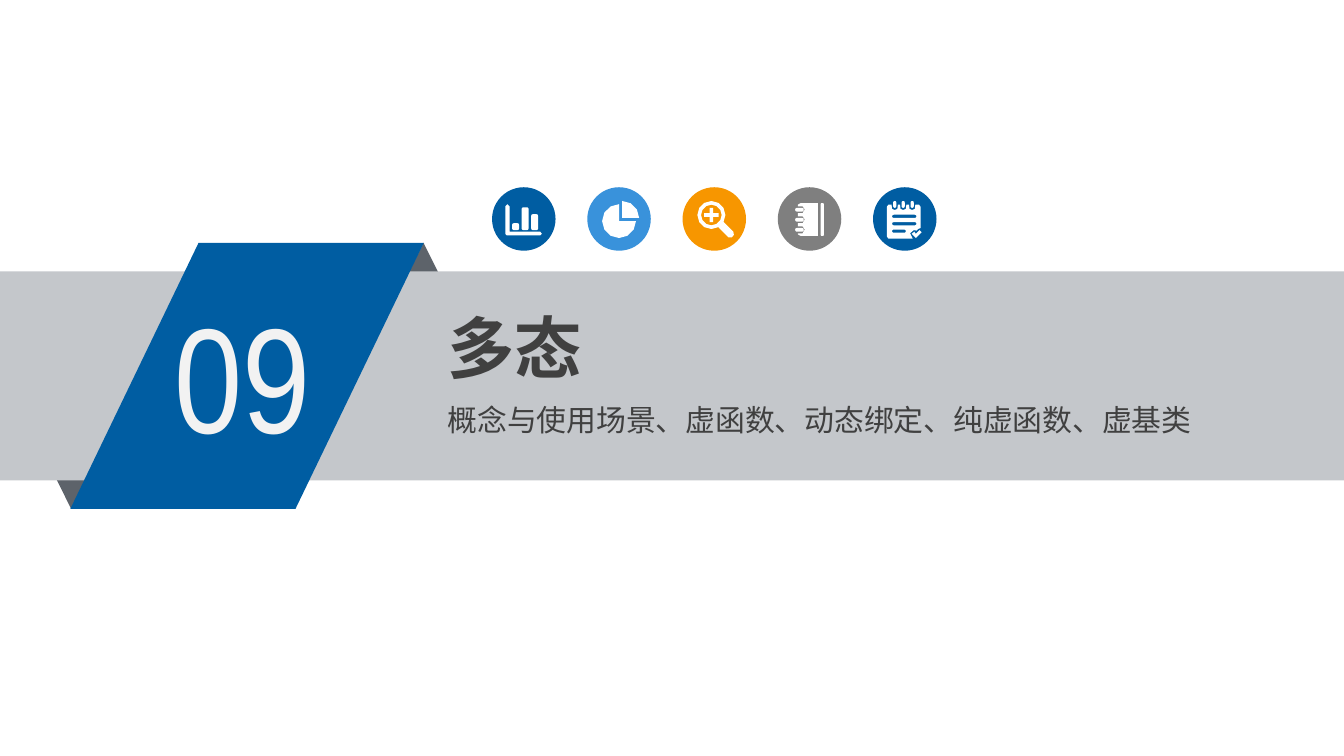
from math import cos, radians, sin

from pptx import Presentation
from pptx.dml.color import RGBColor
from pptx.enum.shapes import MSO_SHAPE
from pptx.enum.text import MSO_ANCHOR, MSO_AUTO_SIZE, PP_ALIGN
from pptx.oxml.ns import qn
from pptx.util import Cm, Pt

RECT, OVAL = MSO_SHAPE.RECTANGLE, MSO_SHAPE.OVAL
TRIANGLE, PARALLELOGRAM = MSO_SHAPE.ISOSCELES_TRIANGLE, MSO_SHAPE.PARALLELOGRAM
TOP, LEFT, FIXED = MSO_ANCHOR.TOP, PP_ALIGN.LEFT, MSO_AUTO_SIZE.NONE
BLUE, SKY, ORANGE, GREY = "005DA2", "3992DB", "F79600", "7F7F7F"
WHITE, FOLD, BAND, DARK, PALE = "FFFFFF", "5D636A", "C4C7CB", "404040", "F2F2F2"
CJK = "Noto Sans CJK SC"

prs = Presentation()
prs.slide_width, prs.slide_height = Cm(25.4), Cm(14.29)
s = prs.slides.add_slide(prs.slide_layouts[5])


def paint(sp, color):
    sp.shadow.inherit = False
    sp.fill.solid()
    sp.fill.fore_color.rgb = RGBColor.from_string(color)
    sp.line.fill.background()
    return sp


def rounded(x, y, w, h, radius):
    corners = [(x + radius, y + radius, 180), (x + w - radius, y + radius, 270),
               (x + w - radius, y + h - radius, 0), (x + radius, y + h - radius, 90)]
    return [(cx + radius * cos(radians(start + turn)), cy + radius * sin(radians(start + turn)))
            for cx, cy, start in corners for turn in (0, 30, 60, 90)]


for kind, x, y, w, h, color, turn in [
        (TRIANGLE, 6.86, 4.59, 2.29, 2.31, FOLD, 0),
        (TRIANGLE, 0.2, 7.31, 2.29, 2.31, FOLD, 180),
        (RECT, 0, 5.13, 25.4, 3.95, BAND, 0),
        (PARALLELOGRAM, 1.33, 4.59, 6.68, 5.03, BLUE, 0)]:
    sp = paint(s.shapes.add_shape(kind, Cm(x), Cm(y), Cm(w), Cm(h)), color)
    sp.rotation = turn
    if kind == PARALLELOGRAM:
        sp.adjustments[0] = 0.482

number = s.shapes.add_textbox(0, 0, 0, 0)
title = s.shapes.title
title.element.getparent().append(title.element)
topics = s.shapes.add_textbox(0, 0, 0, 0)
for sp, box, text, font, size, color, bold in [
        (number, (3.1, 5.28, 3.68, 3.61), "09", "Arial Narrow", 80, PALE, False),
        (title, (8.27, 5.69, 14.02, 1.73), "多态", CJK, 36, DARK, True),
        (topics, (8.27, 7.49, 16.94, 0.89),
         "概念与使用场景、虚函数、动态绑定、纯虚函数、虚基类", CJK, 16, DARK, False)]:
    sp.left, sp.top, sp.width, sp.height = [Cm(v) for v in box]
    tf = sp.text_frame
    tf.word_wrap, tf.auto_size, tf.vertical_anchor = True, FIXED, TOP
    tf.margin_left = tf.margin_right = Cm(0.19)
    tf.margin_top = tf.margin_bottom = Cm(0.1)
    p = tf.paragraphs[0]
    p.alignment = LEFT
    r = p.add_run()
    r.text = text
    r.font.name, r.font.size, r.font.bold = font, Pt(size), bold
    r.font.color.rgb = RGBColor.from_string(color)
    east_asian = r.font._element.makeelement(qn("a:ea"), {"typeface": font})
    r.font._element.find(qn("a:latin")).addnext(east_asian)

axes = [(0.25, 0.36), (0.29, 0.32), (0.33, 0.36), (0.33, 0.84), (0.91, 0.84),
        (0.94, 0.88), (0.91, 0.91), (0.28, 0.91), (0.25, 0.88)]
bar_chart = [axes] + [rounded(x, 0.81 - h, 0.13, h, 0.03)
                      for x, h in ((0.38, 0.13), (0.56, 0.43), (0.74, 0.3))]

disc = rounded(0.28, 0.32, 0.64, 0.64, 0.32)
slice_disc = rounded(0.34, 0.26, 0.64, 0.64, 0.32)
pie_chart = [disc[8:] + disc[:4] + [(0.6, 0.64)], slice_disc[4:8] + [(0.66, 0.58)]]

plus = [(0.51, 0.39), (0.58, 0.39), (0.58, 0.49), (0.68, 0.49), (0.68, 0.56), (0.58, 0.56),
        (0.58, 0.66), (0.51, 0.66), (0.51, 0.56), (0.41, 0.56), (0.41, 0.49), (0.51, 0.49)]
handle = [(0.78, 0.66), (0.96, 0.84), (0.97, 0.9), (0.93, 0.95), (0.87, 0.95), (0.68, 0.76)]
magnifier = [rounded(0.28, 0.26, 0.53, 0.53, 0.265), rounded(0.35, 0.33, 0.39, 0.39, 0.195),
             plus, handle]

cover = [(0.43, 0.3), (0.76, 0.3), (0.76, 0.92), (0.43, 0.92), (0.38, 0.89)]
rings = (0.77, 0.58, 0.39)
for y in rings:
    cover += [(0.38, y + 0.1), (0.47, y + 0.1), (0.51, y + 0.03), (0.47, y - 0.03), (0.38, y - 0.03)]
notebook = [cover + [(0.38, 0.33)], rounded(0.81, 0.3, 0.06, 0.62, 0.02)]
notebook += [rounded(0.33, y, 0.16, 0.07, 0.03) for y in rings]

page = [(0.26, 0.37), (0.29, 0.33)]
binders = (0.38, 0.54, 0.71)
for x in binders:
    page += [(x - 0.03, 0.33), (x - 0.02, 0.41), (x + 0.03, 0.43), (x + 0.08, 0.41), (x + 0.09, 0.33)]
page += [(0.87, 0.33), (0.9, 0.37), (0.9, 0.77), (0.85, 0.79), (0.82, 0.82), (0.77, 0.81),
         (0.7, 0.87), (0.75, 0.97), (0.29, 0.97), (0.26, 0.93)]
tick = [(0.73, 0.88), (0.78, 0.84), (0.81, 0.88), (0.88, 0.81), (0.92, 0.85), (0.81, 0.96)]
checklist = [page, tick] + [rounded(x, 0.26, 0.06, 0.13, 0.03) for x in binders]
checklist += [rounded(0.36, y, w, 0.06, 0.03) for y, w in ((0.52, 0.46), (0.66, 0.46), (0.8, 0.26))]

icon_left, icon_top, icon_step, icon_size = 9.3, 3.54, 1.8, 1.2
icons = [(BLUE, bar_chart), (SKY, pie_chart), (ORANGE, magnifier),
         (GREY, notebook), (BLUE, checklist)]
for i, (color, contours) in enumerate(icons):
    left = icon_left + i * icon_step
    paint(s.shapes.add_shape(OVAL, Cm(left), Cm(icon_top), Cm(icon_size), Cm(icon_size)), color)
    builder = None
    for contour in contours:
        points = [((left + x) * 1000, (icon_top + y) * 1000) for x, y in contour]
        if builder is None:
            builder = s.shapes.build_freeform(*points[0], scale=Cm(0.001))
        else:
            builder.move_to(*points[0])
        builder.add_line_segments(points[1:], close=True)
    paint(builder.convert_to_shape(), WHITE)

prs.save("out.pptx")
